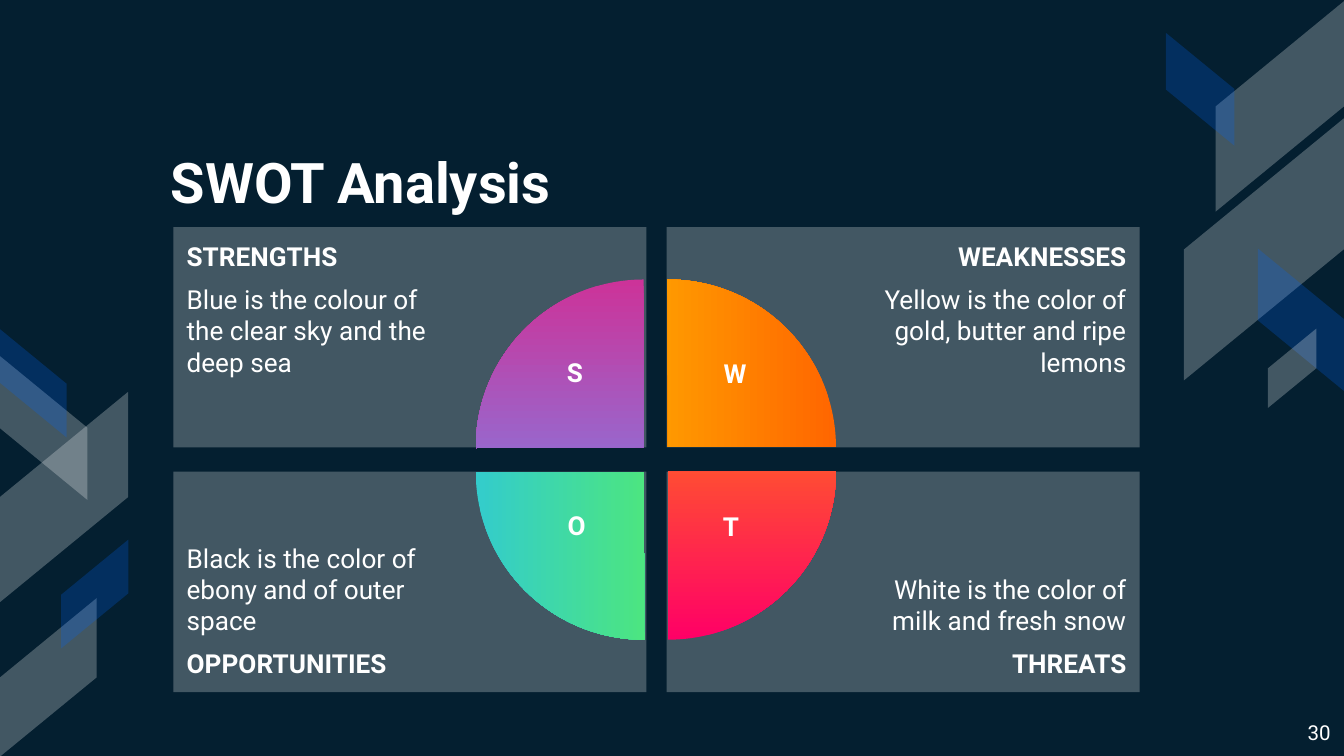
from collections import namedtuple
from dataclasses import dataclass

from lxml.etree import SubElement
from pptx import Presentation
from pptx.dml.color import RGBColor
from pptx.enum.shapes import MSO_SHAPE as Preset
from pptx.enum.text import MSO_ANCHOR as Anchor, MSO_AUTO_SIZE as AutoSize, PP_ALIGN as Align
from pptx.oxml.ns import qn
from pptx.util import Inches, Pt

Box = namedtuple("Box", "left top width height")
Ribbon = namedtuple("Ribbon", "box color rising")
Quadrant = namedtuple("Quadrant", "column row heading body letter letter_box rotation colors")


@dataclass(frozen=True)
class Theme:
    font: str = "Roboto"
    background: str = "041F30"
    white: str = "FFFFFF"
    blue: str = "0066FF"
    white_opacity: int = 25
    blue_opacity: int = 23
    title_size: int = 30
    body_size: int = 14
    number_size: int = 11


THEME = Theme()
SLIDE = Box(0, 0, 10, 10 * 9 / 16)
TITLE = Box(1.17, 1, 6.53, 0.7)
NUMBER = Box(9.36, 5.26, 0.64, 0.36)
BOARD = Box(1.29, 1.69, 7.19, 3.46)
PANEL_WIDTH, PANEL_HEIGHT = 3.52, 1.64
PIE_SIZE, PIE_GAP = 2.5, 0.18

RIBBONS = [
    Ribbon(Box(8.74, 0.31, 1.57, 0.96), THEME.white, True),
    Ribbon(Box(8.43, 1.26, 1.95, 1.19), THEME.white, True),
    Ribbon(Box(9.15, 2.06, 1.06, 0.64), THEME.blue, False),
    Ribbon(Box(8.51, 0.41, 0.84, 0.51), THEME.blue, False),
    Ribbon(Box(9.32, 2.56, 0.59, 0.36), THEME.white, True),
    Ribbon(Box(-0.31, 3.22, 1.57, 0.96), THEME.white, True),
    Ribbon(Box(-0.21, 2.86, 1.07, 0.65), THEME.white, False),
    Ribbon(Box(-0.23, 4.68, 1.18, 0.72), THEME.white, True),
    Ribbon(Box(-0.16, 2.6, 0.81, 0.5), THEME.blue, False),
    Ribbon(Box(0.3, 4.17, 0.81, 0.5), THEME.blue, True),
]

QUADRANTS = [
    Quadrant(0, 0, "STRENGTHS", "Blue is the colour of the clear sky and the deep sea",
             "S", Box(2.83, 0.91, 0.28, 0.44), 0, ("CC3399", "6699FF")),
    Quadrant(1, 0, "WEAKNESSES", "Yellow is the color of gold, butter and ripe lemons",
             "W", Box(3.88, 0.92, 0.6, 0.43), 90, ("FF6600", "FFCC00")),
    Quadrant(1, 1, "THREATS", "White is the color of milk and fresh snow",
             "T", Box(3.99, 2.06, 0.31, 0.43), 180, ("FF0066", "FF9900")),
    Quadrant(0, 1, "OPPORTUNITIES", "Black is the color of ebony and of outer space",
             "O", Box(2.79, 2.05, 0.42, 0.44), 270, ("33CCCC", "66FF33")),
]


def inside(box, left, top, width, height):
    return Box(box.left + left, box.top + top, width, height)


def lengths(box):
    return [Inches(value) for value in box]


def add_plain_shape(slide, preset, box):
    shape = slide.shapes.add_shape(preset, *lengths(box))
    shape.shadow.inherit = False
    shape.line.fill.background()
    return shape


def fill_translucent(shape, color):
    shape.fill.solid()
    shape.fill.fore_color.rgb = RGBColor.from_string(color)
    opacity = THEME.blue_opacity if color == THEME.blue else THEME.white_opacity
    color_element = shape._element.spPr.find(qn("a:solidFill")).find(qn("a:srgbClr"))
    SubElement(color_element, qn("a:alpha")).set("val", str(opacity * 1000))


def set_frame(frame, insets, anchor=Anchor.TOP):
    frame.word_wrap = True
    frame.auto_size = AutoSize.NONE
    frame.vertical_anchor = anchor
    left, top, right, bottom = [Inches(value) for value in insets]
    frame.margin_left, frame.margin_top = left, top
    frame.margin_right, frame.margin_bottom = right, bottom


def write_text(paragraph, text, size=THEME.body_size, bold=False, align=Align.LEFT,
               before=0, after=0):
    paragraph.alignment = align
    paragraph.space_before, paragraph.space_after = Pt(before), Pt(after)
    run = paragraph.add_run()
    run.text = text
    run.font.name = THEME.font
    run.font.size = Pt(size)
    run.font.bold = bold
    run.font.color.rgb = RGBColor.from_string(THEME.white)


def add_label(slide, box, text, insets, **text_format):
    frame = slide.shapes.add_textbox(*lengths(box)).text_frame
    set_frame(frame, insets)
    write_text(frame.paragraphs[0], text, **text_format)


def add_ribbons(slide, box):
    for ribbon in RIBBONS:
        shape = add_plain_shape(slide, Preset.PARALLELOGRAM, inside(box, *ribbon.box))
        shape.adjustments[0] = 0.82
        shape.rotation = 90
        if ribbon.rising:
            shape._element.spPr.find(qn("a:xfrm")).set("flipH", "1")
        fill_translucent(shape, ribbon.color)


def add_title(slide, box):
    title = slide.shapes.title
    title.left, title.top, title.width, title.height = lengths(box)
    set_frame(title.text_frame, [0.1] * 4, Anchor.BOTTOM)
    write_text(title.text_frame.paragraphs[0], "SWOT Analysis", size=THEME.title_size, bold=True)


def add_panel(slide, box, quadrant):
    panel = add_plain_shape(slide, Preset.RECTANGLE, box)
    fill_translucent(panel, THEME.white)
    on_right, on_bottom = quadrant.column == 1, quadrant.row == 1
    insets = (1.5, 0.1, 0.1, 0.1) if on_right else (0.1, 0.1, 1.5, 0.1)
    frame = panel.text_frame
    set_frame(frame, insets, Anchor.BOTTOM if on_bottom else Anchor.TOP)
    align = Align.RIGHT if on_right else Align.LEFT
    lines = [(quadrant.heading, True), (quadrant.body, False)]
    (first, first_bold), (second, second_bold) = reversed(lines) if on_bottom else lines
    write_text(frame.paragraphs[0], first, bold=first_bold, align=align)
    write_text(frame.add_paragraph(), second, bold=second_bold, align=align, before=6, after=6)


def add_pie(slide, box, quadrant):
    pie = add_plain_shape(slide, Preset.PIE, box)
    pie.adjustments[0], pie.adjustments[1] = 107.89, 162
    pie.rotation = quadrant.rotation
    pie.fill.gradient()
    pie.fill.gradient_angle = 270
    for stop, color in zip(pie.fill.gradient_stops, quadrant.colors):
        stop.color.rgb = RGBColor.from_string(color)


def add_board(slide, box):
    column_step, row_step = box.width - PANEL_WIDTH, box.height - PANEL_HEIGHT
    for quadrant in QUADRANTS:
        add_panel(slide, inside(box, quadrant.column * column_step, quadrant.row * row_step,
                                PANEL_WIDTH, PANEL_HEIGHT), quadrant)
    for quadrant in QUADRANTS:
        add_pie(slide, inside(box, 2.25 + quadrant.column * PIE_GAP,
                              0.39 + quadrant.row * PIE_GAP, PIE_SIZE, PIE_SIZE), quadrant)
    for quadrant in QUADRANTS:
        add_label(slide, inside(box, *quadrant.letter_box), quadrant.letter,
                  (0.1, 0.05, 0.1, 0.05), bold=True, align=Align.CENTER)


def build():
    presentation = Presentation()
    presentation.slide_width, presentation.slide_height = Inches(SLIDE.width), Inches(SLIDE.height)
    slide = presentation.slides.add_slide(presentation.slide_layouts[5])
    slide.background.fill.solid()
    slide.background.fill.fore_color.rgb = RGBColor.from_string(THEME.background)
    add_ribbons(slide, SLIDE)
    add_title(slide, TITLE)
    add_label(slide, NUMBER, "30", [0.1] * 4, size=THEME.number_size, align=Align.RIGHT)
    add_board(slide, BOARD)
    presentation.save("out.pptx")


build()
